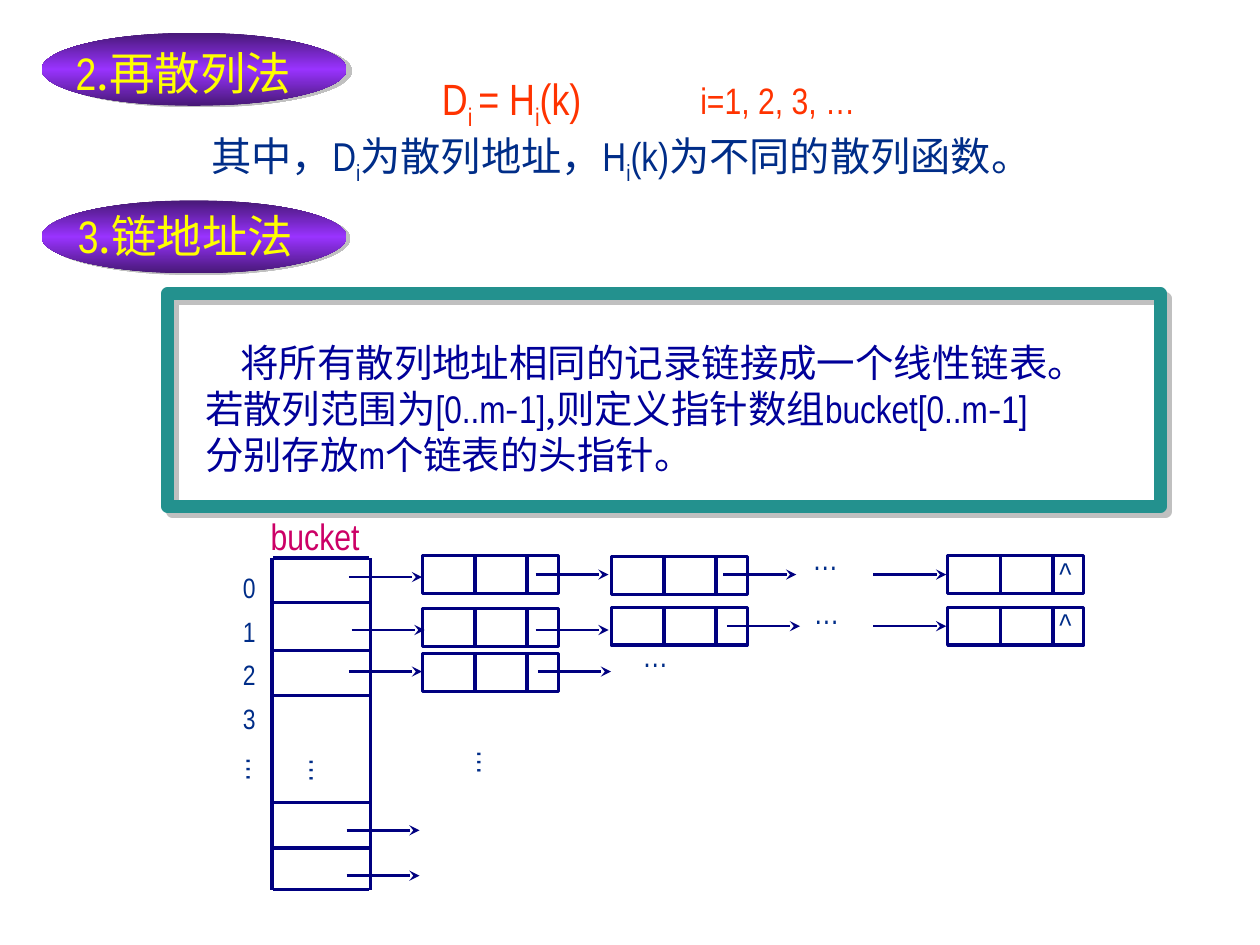
from lxml.etree import SubElement
from pptx import Presentation
from pptx.dml.color import RGBColor
from pptx.enum.shapes import MSO_CONNECTOR, MSO_SHAPE
from pptx.enum.text import MSO_ANCHOR, PP_ALIGN
from pptx.oxml import parse_xml
from pptx.oxml.ns import nsdecls, qn
from pptx.util import Inches, Pt

NAVY = RGBColor(0x00, 0x00, 0x80)
INK = RGBColor(0x00, 0x2D, 0x88)
BLUE = RGBColor(0x00, 0x00, 0x99)
RED = RGBColor(0xFF, 0x33, 0x00)
PINK = RGBColor(0xCC, 0x00, 0x66)
YELLOW = RGBColor(0xFF, 0xFF, 0x00)
TEAL = RGBColor(0x23, 0x91, 0x8E)
PURPLE = RGBColor(0x99, 0x33, 0xFF)
DARK = RGBColor(0x47, 0x18, 0x76)
LATIN, HAN = "Arial Narrow", "Noto Sans CJK SC"

deck = Presentation()
deck.slide_width, deck.slide_height = Inches(10), Inches(7.5)
slide = deck.slides.add_slide(deck.slide_layouts[5])
shapes = slide.shapes


def write(box, spot, lines, size, color, wrap=True):
    """Place box and fill it; "|" parts runs and "_" opens a subscript run."""
    box.left, box.top, box.width, box.height = [Inches(n) for n in spot]
    frame = box.text_frame
    frame.word_wrap = wrap
    frame.vertical_anchor = MSO_ANCHOR.TOP
    for i, line in enumerate(lines):
        par = frame.add_paragraph() if i else frame.paragraphs[0]
        par.alignment = PP_ALIGN.LEFT
        for part in line.split("|"):
            run = par.add_run()
            run.text = part.lstrip("_")
            font = run.font
            font.size, font.color.rgb = Pt(size), color
            han = part == "-" or any(c > "\u2e80" for c in part)
            font.name = HAN if han else LATIN
            props = run._r.get_or_add_rPr()
            SubElement(props, qn("a:ea")).set("typeface", HAN)
            if part.startswith("_"):
                props.set("baseline", "-25000")
    return frame


def draw_line(x1, y1, x2, y2, width, arrow=False):
    line = shapes.add_connector(MSO_CONNECTOR.STRAIGHT, *[Inches(n) for n in (x1, y1, x2, y2)])
    line.line.color.rgb, line.line.width = NAVY, Pt(width)
    if arrow:
        SubElement(line.line._get_or_add_ln(), qn("a:tailEnd")).set("type", "stealth")
    SubElement(line._element.spPr, qn("a:effectLst"))


# Section headings on purple ovals
title = shapes.title
HEADS = [(0.26, title, (0.5, 0.31, 2.42, 0.53), "2|.再散列法", 3.2, 18),
         (1.59, None, (0.52, 1.6, 2.65, 0.53), "3|.链地址法", 2.2, 27)]
SHADOW = ('<a:effectLst %s><a:outerShdw dist="%d" dir="%d" algn="ctr" rotWithShape="0">'
          '<a:srgbClr val="C0C0C0"/></a:outerShdw></a:effectLst>')
for top, box, spot, text, dist, angle in HEADS:
    oval = shapes.add_shape(MSO_SHAPE.OVAL, Inches(0.33), Inches(top), Inches(2.42), Inches(0.58))
    oval.line.fill.background()
    oval.fill.gradient()
    oval.fill.gradient_angle = 270
    stops = oval.fill._fill._gradFill.gsLst
    for stop, color in zip(oval.fill.gradient_stops, (DARK, PURPLE)):
        stop.color.rgb = color
    first, middle = list(stops)
    middle.set("pos", "50000")
    last = parse_xml('<a:gs %s pos="100000"><a:srgbClr val="%s"/></a:gs>' % (nsdecls("a"), DARK))
    stops.append(last)
    oval._element.spPr.append(parse_xml(SHADOW % (nsdecls("a"), Pt(dist), angle * 60000)))
    box = box or shapes.add_textbox(0, 0, 0, 0)
    shapes._spTree.append(box._element)
    write(box, spot, [text], 26, YELLOW)

# Rehashing formula
LINES = [((3.41, 0.52, 1.8, 0.52), "D|_i |= H|_i|(k)", 25, RED),
         ((5.46, 0.57, 2.5, 0.45), "i=1, 2, 3, …", 21, RED),
         ((1.58, 0.99, 7.5, 0.48), "其中，|D|_i|为散列地址，|H|_i|(k)|为不同的散列函数。", 23, INK)]
for spot, text, size, color in LINES:
    write(shapes.add_textbox(0, 0, 0, 0), spot, [text], size, color)

# Framed explanation of chaining
frame = shapes.add_shape(MSO_SHAPE.RECTANGLE, Inches(1.33), Inches(2.33), Inches(7.88), Inches(1.69))
frame.fill.background()
frame.line.color.rgb, frame.line.width = TEAL, Pt(7.25)
frame._element.spPr.append(parse_xml(SHADOW % (nsdecls("a"), Pt(4.2), 45 * 60000)))
note = write(shapes.add_textbox(0, 0, 0, 0), (1.53, 2.64, 8.33, 1.2),
             ["将所有散列地址相同的记录链接成一个线性链表。",
              "若散列范围为|[0..m|-|1]|,则定义指针数组|bucket[0..m|-|1]",
              "分别存放|m|个链表的头指针。"], 22, BLUE)
note.paragraphs[0]._p.get_or_add_pPr().set("indent", str(Inches(0.28)))

# Bucket array
for x in (2.16, 2.94):
    draw_line(x, 4.43, x, 7.06, 2)
for y in (4.43, 4.78, 5.16, 5.52, 6.37, 6.73, 7.06):
    draw_line(2.17, y, 2.93, y, 2 if y in (4.43, 7.06) else 1.75)

# Chain nodes, each of three cells
NODES = [(3.35, 4.41), (4.85, 4.42), (7.52, 4.41),
         (3.35, 4.83), (4.85, 4.82), (7.52, 4.82), (3.35, 5.19)]
for left, top in NODES:
    for shift, width in ((0, 0.42), (0.42, 0.42), (0.83, 0.25)):
        cell = shapes.add_shape(MSO_SHAPE.RECTANGLE, Inches(left + shift), Inches(top),
                                Inches(width), Inches(0.3))
        cell.shadow.inherit = False
        cell.fill.background()
        cell.line.color.rgb, cell.line.width = NAVY, Pt(1.75)

ARROWS = [(2.77, 4.58), (4.25, 4.56), (5.74, 4.56), (6.93, 4.56),
          (2.79, 5), (4.25, 5), (5.77, 4.97), (6.93, 4.97),
          (2.77, 5.33), (4.27, 5.33), (2.75, 6.59), (2.75, 6.95)]
for x, y in ARROWS:
    draw_line(x, y, x + 0.58, y, 1.5, arrow=True)

# Ellipses, end marks and labels
MARKS = [(6.35, 4.23, "…", 0), (6.36, 4.66, "…", 0), (5, 5, "…", 0),
         (2.17, 5.8, "…", 270), (3.5, 5.74, "…", 270), (1.67, 5.79, "…", 270),
         (8.31, 4.35, "^", 0), (8.31, 4.75, "^", 0)]
for x, y, mark, turn in MARKS:
    box = shapes.add_textbox(0, 0, 0, 0)
    write(box, (x, y, 0.4 if mark == "^" else 0.53, 0.5), [mark], 18, INK, wrap=False)
    box.rotation = turn
write(shapes.add_textbox(0, 0, 0, 0), (2.05, 4.03, 1.58, 0.45), ["bucket"], 21, PINK)
index = write(shapes.add_textbox(0, 0, 0, 0), (1.83, 4.4, 0.31, 1.84), "0123", 16, INK, wrap=False)
for par in index.paragraphs:
    par.line_spacing = 1.3

deck.save("out.pptx")
